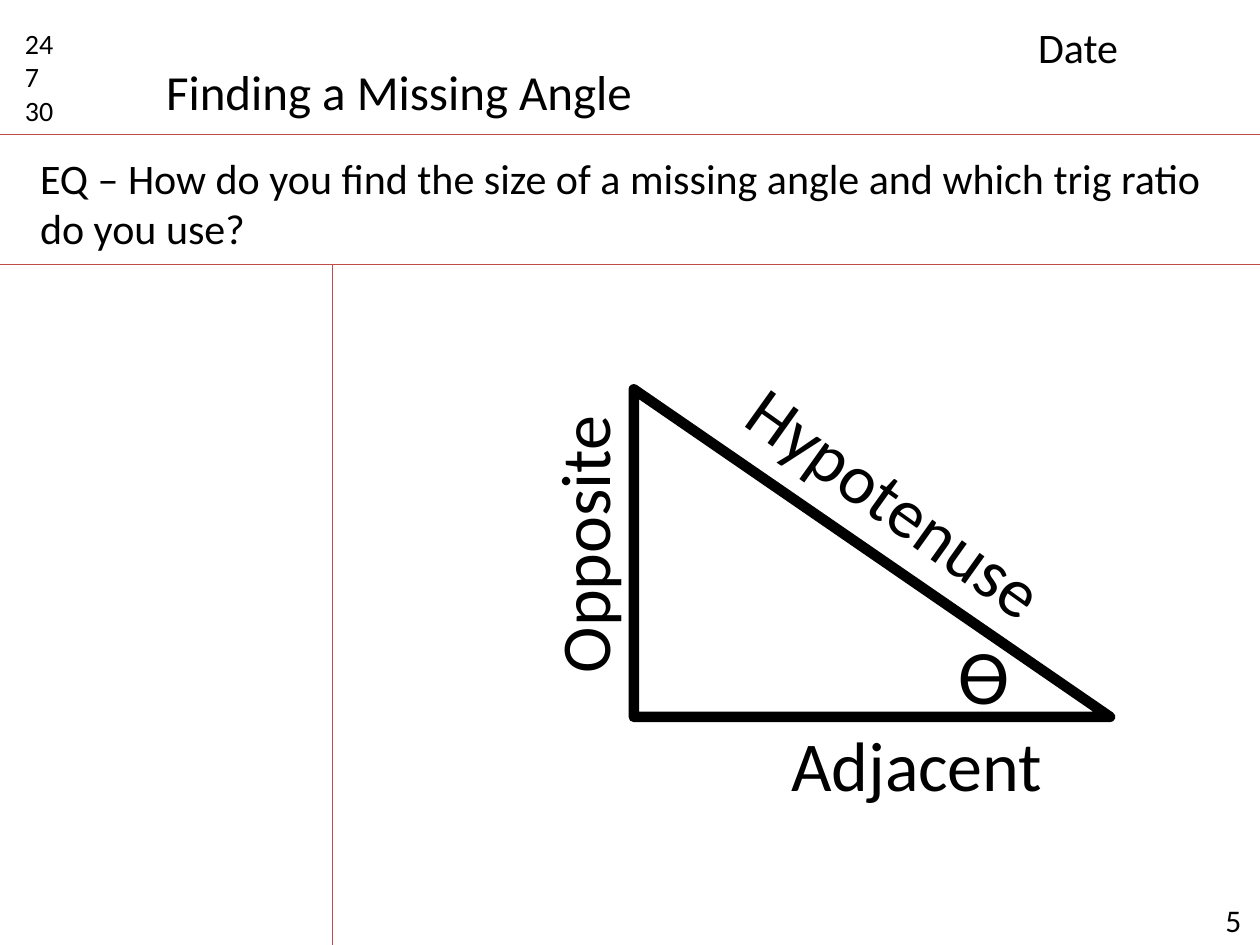
import pptx
import pptx.dml.color
import pptx.enum.shapes
import pptx.enum.text
import pptx.oxml.ns
import pptx.util
from dataclasses import dataclass
from lxml import etree
from pptx.util import Inches


@dataclass(frozen=True)
class Theme:
    font: str = "Calibri"
    ink: str = "000000"
    rule: str = "BF4C48"
    small: int = 16
    page: int = 18
    body: int = 24
    title: int = 28
    side: int = 40
    angle: int = 44
    rule_width: float = 0.75
    triangle_width: float = 6


THEME = Theme()


def color(value):
    return pptx.dml.color.RGBColor.from_string(value)


def add_rule(slide, x1, y1, x2, y2):
    rule = slide.shapes.add_connector(
        pptx.enum.shapes.MSO_CONNECTOR.STRAIGHT,
        Inches(x1), Inches(y1), Inches(x2), Inches(y2))
    rule.line.color.rgb = color(THEME.rule)
    rule.line.width = pptx.util.Pt(THEME.rule_width)
    etree.SubElement(rule._element.spPr, pptx.oxml.ns.qn("a:effectLst"))


def add_label(slide, text, left, top, width, height, size, wrap=True, rotation=0):
    label = slide.shapes.add_textbox(
        Inches(left), Inches(top), Inches(width), Inches(height))
    label.rotation = rotation
    frame = label.text_frame
    frame.text = text
    frame.word_wrap = wrap
    frame.auto_size = pptx.enum.text.MSO_AUTO_SIZE.SHAPE_TO_FIT_TEXT
    for paragraph in frame.paragraphs:
        for run in paragraph.runs:
            run.font.name = THEME.font
            run.font.size = pptx.util.Pt(size)
            run.font.color.rgb = color(THEME.ink)


def add_right_triangle(slide, left, top, width, height):
    triangle = slide.shapes.add_shape(
        pptx.enum.shapes.MSO_SHAPE.RIGHT_TRIANGLE,
        Inches(left), Inches(top), Inches(width), Inches(height))
    triangle.shadow.inherit = False
    triangle.fill.background()
    triangle.line.color.rgb = color(THEME.ink)
    triangle.line.width = pptx.util.Pt(THEME.triangle_width)


def main():
    deck = pptx.Presentation()
    deck.slide_width, deck.slide_height = Inches(10), Inches(7.5)
    slide = deck.slides.add_slide(deck.slide_layouts[6])

    # Notebook page rules
    header_bottom, question_bottom, margin = 1.07, 2.1, 2.64
    for y in (header_bottom, question_bottom):
        add_rule(slide, 0, y, 10, y)
    add_rule(slide, margin, question_bottom, margin, 7.5)

    # Header, essential question and page number
    add_label(slide, "24\n7\n30", 0.1, 0.16, 0.63, 0.91, THEME.small)
    add_label(slide, "Finding a Missing Angle", 1.22, 0.44, 3.94, 0.57,
              THEME.title, wrap=False)
    add_label(slide, "Date", 8.14, 0.12, 1.73, 0.5, THEME.body)
    add_label(slide, "EQ – How do you find the size of a missing angle "
              "and which trig ratio do you use?",
              0.22, 1.16, 9.43, 0.91, THEME.body)
    add_label(slide, " 5", 9.57, 7.1, 0.6, 0.4, THEME.page)

    # Triangle with its angle and sides
    add_right_triangle(slide, 5.03, 3.09, 3.78, 2.6)
    add_label(slide, "ϴ", 7.51, 4.93, 0.48, 0.84, THEME.angle)
    for side, left, top, width, rotation in (
            ("Adjacent", 6.18, 5.68, 2.22, 0),
            ("Opposite", 3.49, 3.92, 2.27, 270),
            ("Hypotenuse", 5.66, 3.6, 2.94, 35.5)):
        add_label(slide, side, left, top, width, 0.77, THEME.side,
                  wrap=False, rotation=rotation)

    deck.save("out.pptx")


if __name__ == "__main__":
    main()
